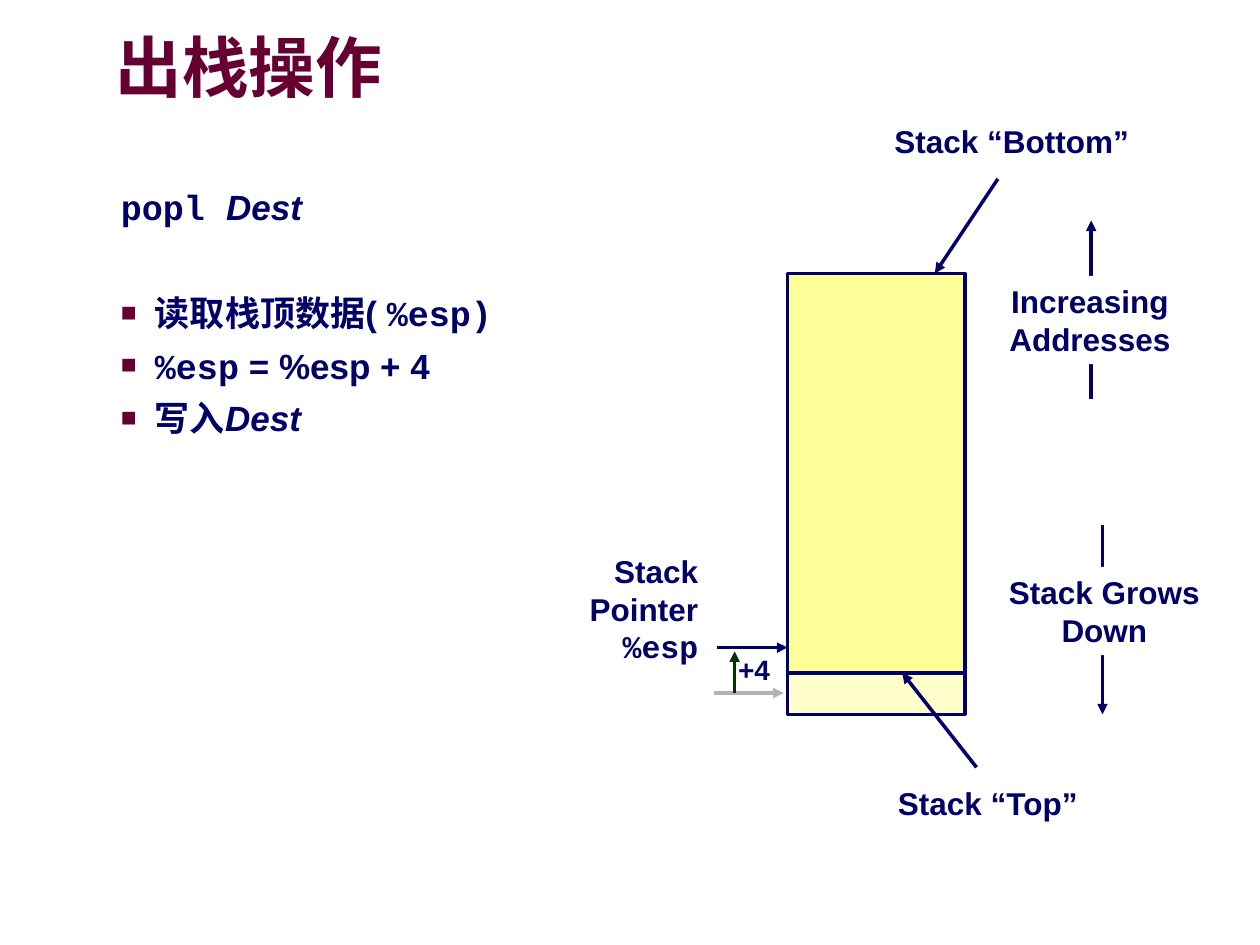
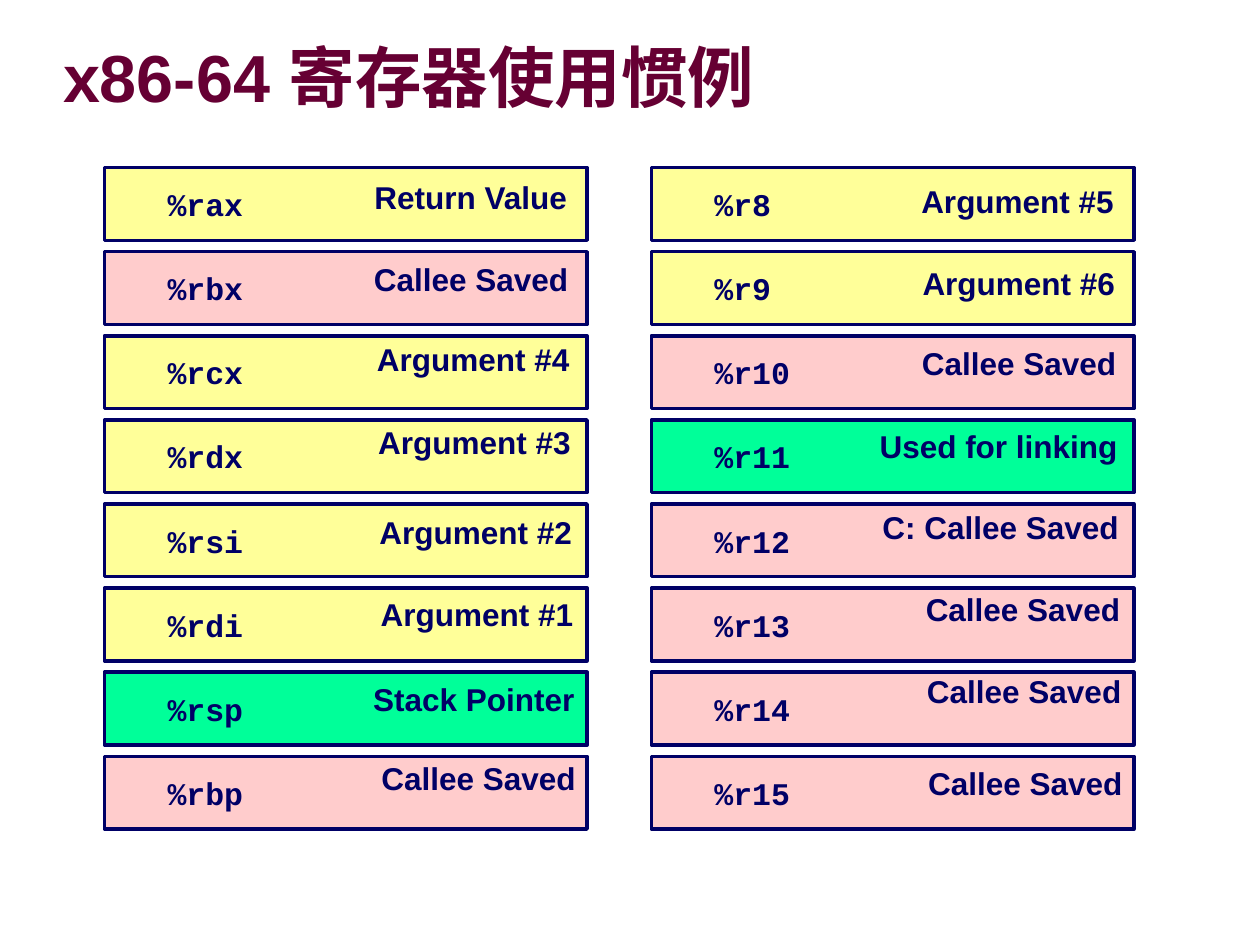
from lxml import etree
from pptx import Presentation
from pptx.dml.color import RGBColor
from pptx.enum.shapes import MSO_CONNECTOR, MSO_SHAPE
from pptx.enum.text import MSO_ANCHOR, MSO_AUTO_SIZE, PP_ALIGN
from pptx.oxml.ns import qn
from pptx.util import Inches, Pt

STRAIGHT = MSO_CONNECTOR.STRAIGHT
RECTANGLE = MSO_SHAPE.RECTANGLE
MIDDLE, TOP = MSO_ANCHOR.MIDDLE, MSO_ANCHOR.TOP
LEFT, CENTER, RIGHT = PP_ALIGN.LEFT, PP_ALIGN.CENTER, PP_ALIGN.RIGHT

NAVY = RGBColor(0x00, 0x00, 0x66)
MAROON = RGBColor(0x66, 0x00, 0x33)
YELLOW = RGBColor(0xFF, 0xFF, 0x99)
PALE_YELLOW = RGBColor(0xFF, 0xFF, 0xCC)
PINK = RGBColor(0xFF, 0xCC, 0xCC)
GREEN = RGBColor(0x00, 0xFF, 0x99)
DARK_GREEN = RGBColor(0x00, 0x33, 0x00)
GRAY = RGBColor(0xB2, 0xB2, 0xB2)
WHITE = RGBColor(0xFF, 0xFF, 0xFF)

SANS, MONO = "Arial", "Courier New"
TITLE_ONLY, TITLE_AND_BODY = 5, 1

# Register name, role, fill, drop of the role text below the row's top
LEFT_REGISTERS = [
    ("%rax", "Return Value", YELLOW, 0.07),
    ("%rbx", "Callee Saved", PINK, 0.05),
    ("%rcx", "Argument #4", YELLOW, 0.02),
    ("%rdx", "Argument #3", YELLOW, 0.01),
    ("%rsi", "Argument #2", YELLOW, 0.06),
    ("%rdi", "Argument #1", YELLOW, 0.04),
    ("%rsp", "Stack Pointer", GREEN, 0.05),
    ("%rbp", "Callee Saved", PINK, 0.01),
]
RIGHT_REGISTERS = [
    ("%r8", "Argument #5", YELLOW, 0.1),
    ("%r9", "Argument #6", YELLOW, 0.08),
    ("%r10", "Callee Saved", PINK, 0.05),
    ("%r11", "Used for linking", GREEN, 0.04),
    ("%r12", "C: Callee Saved", PINK, 0.02),
    ("%r13", "Callee Saved", PINK, 0),
    ("%r14", "Callee Saved", PINK, -0.02),
    ("%r15", "Callee Saved", PINK, 0.05),
]


def place(shape, left, top, width, height):
    shape.left, shape.top = Inches(left), Inches(top)
    shape.width, shape.height = Inches(width), Inches(height)


def set_frame(frame, side, end, anchor=TOP, wrap=True):
    """Set insets (left/right, top/bottom), anchor and wrapping."""
    frame.margin_left = frame.margin_right = Inches(side)
    frame.margin_top = frame.margin_bottom = Inches(end)
    frame.vertical_anchor = anchor
    frame.auto_size = MSO_AUTO_SIZE.NONE
    frame.word_wrap = wrap


def add_run(paragraph, text, size, font=SANS, color=NAVY, italic=False):
    run = paragraph.add_run()
    run.text = text
    run.font.name, run.font.size = font, Pt(size)
    run.font.bold, run.font.italic = True, italic
    run.font.color.rgb = color
    return run


def add_text_shadow(run):
    effects = etree.Element(qn("a:effectLst"))
    shadow = etree.SubElement(effects, qn("a:outerShdw"),
                              dist="35921", dir="2700000", algn="ctr")
    etree.SubElement(shadow, qn("a:srgbClr"), val="808080")
    run.font.fill._xPr.find(qn("a:solidFill")).addnext(effects)


def set_title(slide, text, left, top, width):
    title = slide.shapes.title
    place(title, left, top, width, 0.63)
    set_frame(title.text_frame, 0, 0, MIDDLE)
    paragraph = title.text_frame.paragraphs[0]
    paragraph.alignment, paragraph.line_spacing = LEFT, 0.87
    add_text_shadow(add_run(paragraph, text, 38, color=MAROON))


def set_bullet(paragraph, bulleted):
    props = paragraph._p.get_or_add_pPr()
    props.set("marL", str(Inches(0.81)))
    props.set("indent", str(Inches(-0.27)))
    if not bulleted:
        etree.SubElement(props, qn("a:buNone"))
        return
    color = etree.SubElement(props, qn("a:buClr"))
    etree.SubElement(color, qn("a:srgbClr"), val=str(MAROON))
    etree.SubElement(props, qn("a:buSzPct"), val="75000")
    etree.SubElement(props, qn("a:buChar"), char="■")


def add_line(slide, x1, y1, x2, y2, color=NAVY, width=2, arrow=True):
    line = slide.shapes.add_connector(
        STRAIGHT, Inches(x1), Inches(y1), Inches(x2), Inches(y2))
    line.line.color.rgb, line.line.width = color, Pt(width)
    props = line._element.spPr
    if arrow:
        etree.SubElement(props.find(qn("a:ln")), qn("a:tailEnd"), type="triangle")
    etree.SubElement(props, qn("a:effectLst"))


def add_rect(slide, left, top, width, height, fill):
    rect = slide.shapes.add_shape(RECTANGLE, Inches(left), Inches(top),
                                  Inches(width), Inches(height))
    rect.shadow.inherit = False
    rect.fill.solid()
    rect.fill.fore_color.rgb = fill
    rect.line.color.rgb, rect.line.width = NAVY, Pt(2)
    return rect


def add_label(slide, left, top, width, height, lines, align=CENTER, size=18,
              side=0.1, spacing=1.0, fill=None):
    """Add a text label; each line is a (text, font) pair."""
    label = slide.shapes.add_textbox(Inches(left), Inches(top),
                                     Inches(width), Inches(height))
    if fill is not None:
        label.fill.solid()
        label.fill.fore_color.rgb = fill
    frame = label.text_frame
    set_frame(frame, side, 0.05, wrap=align == RIGHT)
    for index, (text, font) in enumerate(lines):
        paragraph = frame.add_paragraph() if index else frame.paragraphs[0]
        paragraph.alignment, paragraph.line_spacing = align, spacing
        add_run(paragraph, text, size, font)


def fill_pop_steps(body, left, top, width, height):
    place(body, left, top, width, height)
    frame = body.text_frame
    set_frame(frame, 0.1, 0.05)
    # Space before, bulleted, runs of (text, font, italic)
    steps = [
        (0, False, [("popl ", MONO, False), ("Dest", SANS, True)]),
        (36.5, True, [("读取栈顶数据( ", SANS, False), ("%esp)", MONO, False)]),
        (6.2, True, [("%esp", MONO, False), (" = %esp + 4", SANS, False)]),
        (6.2, True, [("写入", SANS, False), ("Dest", SANS, True)]),
    ]
    for index, (space, bulleted, runs) in enumerate(steps):
        paragraph = frame.add_paragraph() if index else frame.paragraphs[0]
        paragraph.level = 1
        set_bullet(paragraph, bulleted)
        paragraph.space_before = Pt(space)
        for text, font, italic in runs:
            add_run(paragraph, text, 20, font, italic=italic)


def draw_stack(slide, left, top, width, height):
    """Draw the stack in the given box, with its pointers and labels around."""
    popped = 0.33
    new_top = top + height - popped
    new_pointer, old_pointer = new_top - 0.2, new_top + 0.16
    right = left + width

    add_line(slide, left - 0.56, new_pointer, left, new_pointer)
    add_label(slide, left - 1.85, top + 2.16, 1.24, 1,
              [("Stack", SANS), ("Pointer", SANS), ("%esp", MONO)], RIGHT)
    add_rect(slide, left, top, width, height, YELLOW)

    add_line(slide, left + 2.5, top + 2, left + 2.5, top + height)
    add_label(slide, right + 0.25, top + 2.33, 1.71, 0.7,
              [("Stack Grows", SANS), ("Down", SANS)], fill=WHITE)
    add_line(slide, left + 2.41, top + 1, left + 2.41, top - 0.42)
    add_label(slide, right + 0.25, top + 0.02, 1.48, 0.7,
              [("Increasing", SANS), ("Addresses", SANS)], fill=WHITE)

    add_label(slide, left + 0.77, top + height + 0.5, 1.64, 0.4,
              [("Stack “Top”", SANS)], fill=WHITE)
    add_line(slide, left, new_top, right, new_top, arrow=False)
    add_label(slide, left + 0.75, top - 1.25, 2.06, 0.4,
              [("Stack “Bottom”", SANS)], fill=WHITE)
    add_line(slide, left + 1.67, top - 0.75, left + 1.17, top)

    add_line(slide, left - 0.58, old_pointer, left - 0.03, old_pointer, GRAY)
    add_label(slide, left - 0.44, new_pointer + 0.02, 0.35, 0.34,
              [("+4", SANS)], size=16, side=0.05, spacing=0.9)
    add_line(slide, left - 0.42, old_pointer, left - 0.42, new_pointer + 0.03,
             DARK_GREEN, 1.5)
    add_rect(slide, left, new_top, width, popped, PALE_YELLOW)
    add_line(slide, left + 1.5, new_top + 0.75, left + 0.91, new_top)


def draw_registers(slide, registers, left, top, width, height):
    gap = 0.09
    row_height = (height + gap) / len(registers) - gap
    role_width = 2.1
    for row, (name, role, fill, drop) in enumerate(registers):
        row_top = top + row * (row_height + gap)
        register = add_rect(slide, left, row_top, width, row_height, fill)
        set_frame(register.text_frame, 0.1, 0.05, MIDDLE)
        register.text_frame.margin_left = Inches(0.5)
        paragraph = register.text_frame.paragraphs[0]
        paragraph.alignment = LEFT
        add_run(paragraph, name, 18, MONO)
        role_right = left + width - 0.11 + 0.01 * row
        add_label(slide, role_right - role_width, row_top + drop, role_width, 0.37,
                  [(role, SANS)], RIGHT, side=0.05, spacing=0.9)


def build_pop_slide(prs):
    slide = prs.slides.add_slide(prs.slide_layouts[TITLE_AND_BODY])
    set_title(slide, "出栈操作", 0.92, 0.25, 5.42)
    fill_pop_steps(slide.placeholders[1], 0.32, 1.42, 4.88, 5.63)
    draw_stack(slide, 6.25, 2.17, 1.41, 3.5)


def build_register_slide(prs):
    slide = prs.slides.add_slide(prs.slide_layouts[TITLE_ONLY])
    set_title(slide, "x86-64 寄存器使用惯例", 0.5, 0.33, 8.75)
    draw_registers(slide, LEFT_REGISTERS, 0.83, 1.33, 3.83, 5.25)
    draw_registers(slide, RIGHT_REGISTERS, 5.17, 1.33, 3.83, 5.25)


def main():
    prs = Presentation()
    prs.slide_width, prs.slide_height = Inches(10), Inches(7.5)
    build_pop_slide(prs)
    build_register_slide(prs)
    prs.save("out.pptx")


if __name__ == "__main__":
    main()
